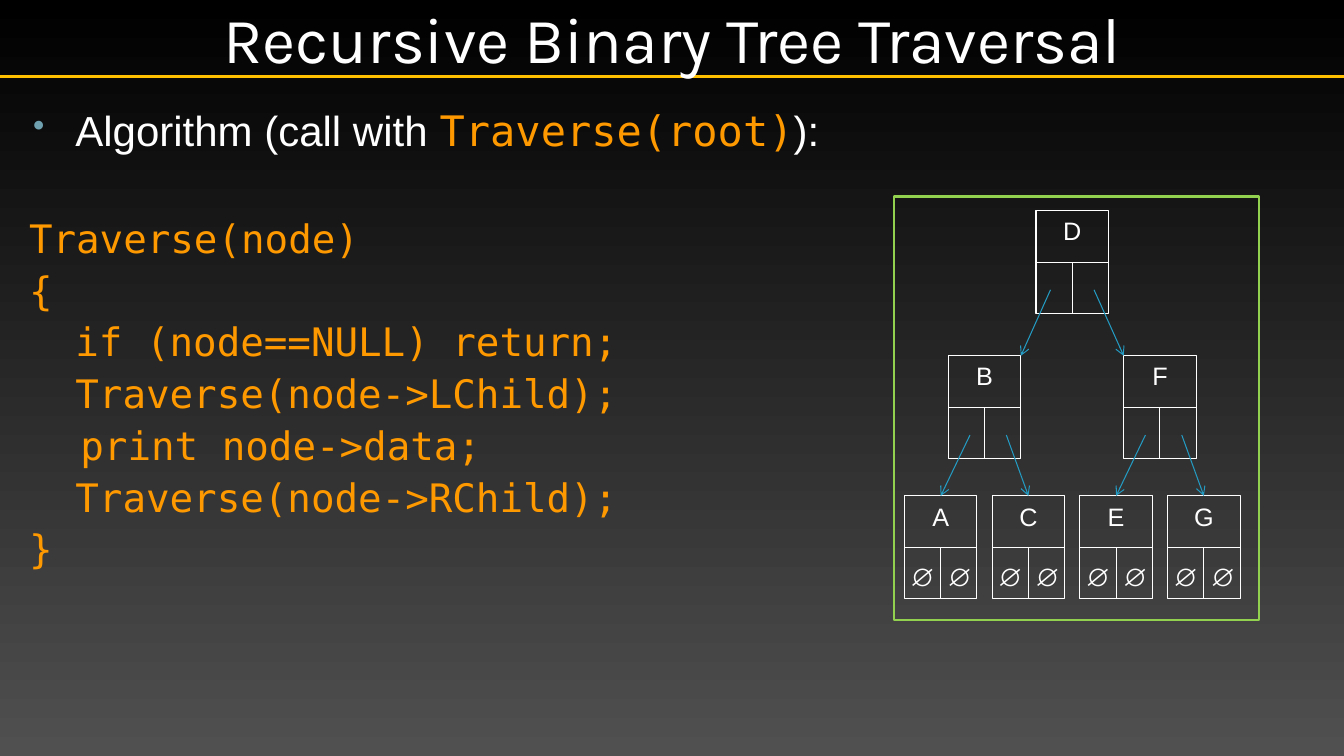
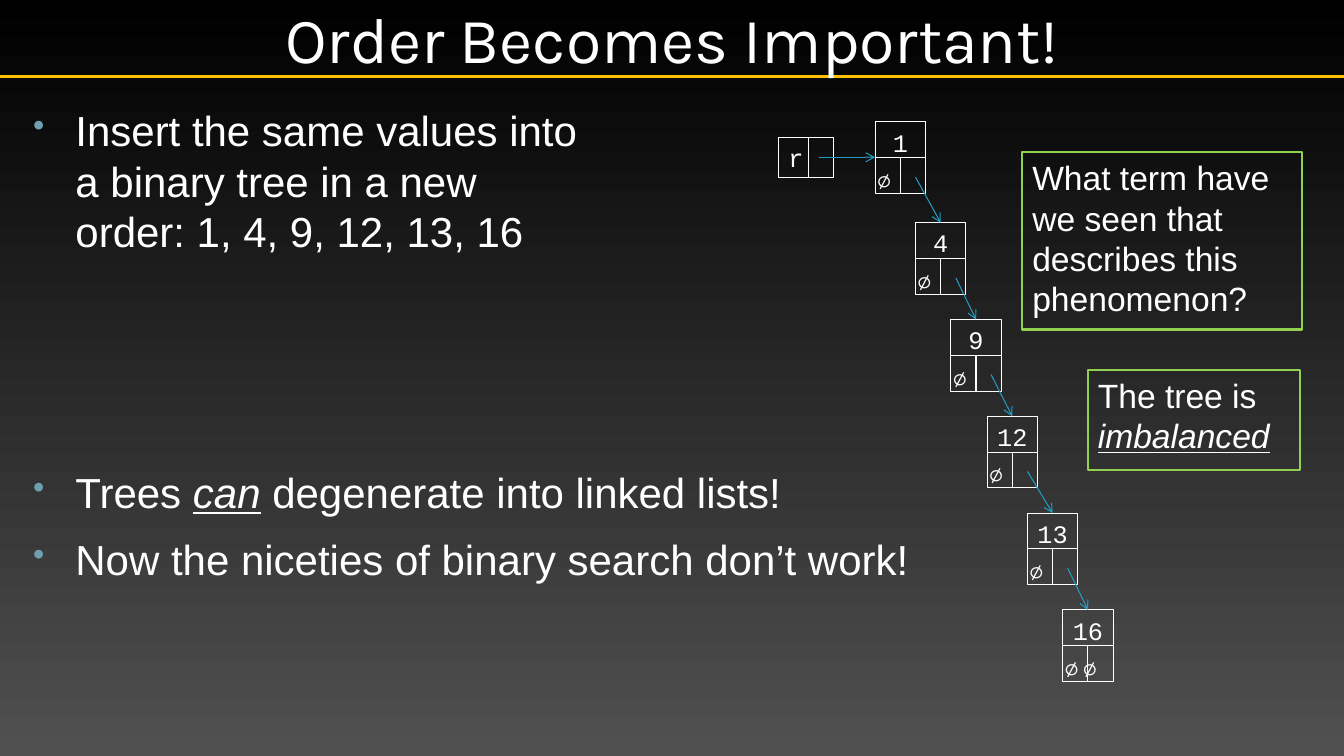
"""Build two slides about binary trees: traversal and insertion order."""
from dataclasses import dataclass
from typing import NamedTuple

from lxml import etree
from pptx import Presentation
from pptx.dml.color import RGBColor
from pptx.enum.shapes import MSO_CONNECTOR, MSO_SHAPE
from pptx.enum.text import MSO_ANCHOR, PP_ALIGN
from pptx.oxml.ns import qn
from pptx.util import Inches, Pt

STRAIGHT = MSO_CONNECTOR.STRAIGHT
RECTANGLE = MSO_SHAPE.RECTANGLE
LEFT, CENTER = PP_ALIGN.LEFT, PP_ALIGN.CENTER
TOP, MIDDLE = MSO_ANCHOR.TOP, MSO_ANCHOR.MIDDLE

WIDTH, HEIGHT = 13.33, 7.5
WHITE, ORANGE, GREEN, BLUE = "FFFFFF", "FF9900", "92D050", "239BC2"
GOLD, BULLET, BLACK, GRAY = "FFC000", "6EA0B0", "000000", "505050"
SANS, CODE, COURIER, TITLE = "Arial", "DejaVu Sans Mono", "Courier New", "Karla"
HANG = 0.42
TEXT_INDENT = 0.46
INSETS = (0.1, 0.05, 0.1, 0.05)
POINTER_HEIGHT = 0.77


class Box(NamedTuple):
    """A rectangle in inches."""
    left: float
    top: float
    width: float
    height: float


class Run(NamedTuple):
    """A stretch of text that differs from its paragraph."""
    text: str
    font: str = ""
    color: str = ""
    stressed: bool = False


@dataclass(frozen=True)
class Line:
    """One paragraph with its style."""
    runs: tuple[Run, ...]
    size: float
    font: str = SANS
    color: str = WHITE
    align: PP_ALIGN = LEFT
    before: float = 0
    spacing: float = 1
    indent: float = 0
    bullet: bool = False


@dataclass(frozen=True)
class NodeStyle:
    """Size and lettering of tree nodes, with the places of null marks."""
    width: float
    height: float
    font: str
    null_left: float
    null_pitch: float
    null_top: float


@dataclass(frozen=True)
class Node:
    """A tree node, its corner and its number of null marks."""
    key: str
    left: float
    top: float
    nulls: int = 0


class Link(NamedTuple):
    """A pointer between nodes; start and end are shares of node width."""
    parent: str
    start: float
    child: str
    end: float


WIDE_NODE = NodeStyle(0.72, 1.02, SANS, 0.18, 0.37, 0.8)
SMALL_NODE = NodeStyle(0.5, 0.71, COURIER, 0.09, 0.18, 0.55)


def rgb(color: str) -> RGBColor:
    """Turn a hex string into a colour."""
    return RGBColor.from_string(color)


def write(shape, lines: list[Line], insets=INSETS, anchor=TOP) -> None:
    """Fill a shape with styled paragraphs."""
    frame = shape.text_frame
    frame.word_wrap = True
    frame.vertical_anchor = anchor
    (frame.margin_left, frame.margin_top,
     frame.margin_right, frame.margin_bottom) = map(Inches, insets)
    for index, line in enumerate(lines):
        paragraph = frame.add_paragraph() if index else frame.paragraphs[0]
        paragraph.alignment = line.align
        paragraph.space_before = Pt(line.before)
        paragraph.line_spacing = line.spacing
        properties = paragraph._p.get_or_add_pPr()
        properties.set("marL", str(Inches(line.indent)))
        properties.set("indent", str(Inches(-HANG if line.bullet else 0)))
        if line.bullet:
            color = etree.SubElement(properties, qn("a:buClr"))
            etree.SubElement(color, qn("a:srgbClr"), val=BULLET)
            etree.SubElement(properties, qn("a:buSzPct"), val="80000")
            etree.SubElement(properties, qn("a:buChar"), char="•")
        paragraph.font.size = Pt(line.size)
        paragraph.font.name = line.font
        paragraph.font.color.rgb = rgb(line.color)
        for part in line.runs:
            run = paragraph.add_run()
            run.text = part.text
            if part.font:
                run.font.name = part.font
            if part.color:
                run.font.color.rgb = rgb(part.color)
            if part.stressed:
                run.font.italic = run.font.underline = True


def add_text(slide, box: Box, lines: list[Line], insets=INSETS, anchor=TOP) -> None:
    """Add a text box."""
    shape = slide.shapes.add_textbox(*map(Inches, box))
    write(shape, lines, insets, anchor)


def add_frame(slide, box: Box, color: str, weight: float):
    """Add an unfilled rectangle."""
    shape = slide.shapes.add_shape(RECTANGLE, *map(Inches, box))
    shape.shadow.inherit = False
    shape.fill.background()
    shape.line.color.rgb = rgb(color)
    shape.line.width = Pt(weight)
    return shape


def add_line(slide, start: tuple[float, float], end: tuple[float, float],
             color: str = WHITE, weight: float = 0.75, arrow: bool = False) -> None:
    """Add a straight line, with an arrowhead at its end if asked."""
    line = slide.shapes.add_connector(STRAIGHT, *map(Inches, (*start, *end)))
    line.line.color.rgb = rgb(color)
    line.line.width = Pt(weight)
    if arrow:
        etree.SubElement(line.line._get_or_add_ln(), qn("a:tailEnd"), type="arrow")
    etree.SubElement(line._element.spPr, qn("a:effectLst"))


def add_node(slide, node: Node, style: NodeStyle) -> None:
    """Draw a node: key above, two child slots below."""
    left, top = node.left, node.top
    middle, center = top + style.height / 2, left + style.width / 2
    shape = add_frame(slide, Box(left, top, style.width, style.height), WHITE, 0.75)
    write(shape, [Line((Run(node.key),), 18, style.font, align=CENTER)],
          (0, 0.05, 0, 0.05))
    add_line(slide, (left, middle), (left + style.width, middle))
    add_line(slide, (center, middle), (center, top + style.height))
    for index in range(node.nulls):
        mark = left + style.null_left + index * style.null_pitch
        add_text(slide, Box(mark - 0.15, top + style.null_top - 0.15, 0.3, 0.3),
                 [Line((Run("∅"),), 18, style.font, align=CENTER)],
                 (0, 0, 0, 0), MIDDLE)


def add_tree(slide, nodes: list[Node], links: list[Link], style: NodeStyle) -> None:
    """Draw nodes and the pointers between them."""
    places = {node.key: node for node in nodes}
    for node in nodes:
        add_node(slide, node, style)
    for link in links:
        parent, child = places[link.parent], places[link.child]
        add_line(slide,
                 (parent.left + link.start * style.width,
                  parent.top + POINTER_HEIGHT * style.height),
                 (child.left + link.end * style.width, child.top), BLUE, arrow=True)


def bullet(*runs: Run, before: float = 6) -> Line:
    """Make a bulleted body line."""
    return Line(runs, 30, before=before, indent=TEXT_INDENT, bullet=True)


def code(text: str, indent: float = 0, before: float = 6.7) -> Line:
    """Make a line of program code."""
    return Line((Run(text),), 28, CODE, ORANGE, before=before, spacing=0.9,
                indent=indent)


def add_callout(slide, box: Box, *runs: Run) -> None:
    """Add a green framed remark."""
    write(add_frame(slide, box, GREEN, 1.5), [Line(runs, 24, before=4.8)])


def add_slide(presentation, title: str):
    """Add a slide with the shared rule and title."""
    slide = presentation.slides.add_slide(presentation.slide_layouts[6])
    add_line(slide, (0, 0.76), (WIDTH, 0.76), GOLD, 2.5)
    add_text(slide, Box(WIDTH / 8, 0, WIDTH * 0.75, HEIGHT / 10),
             [Line((Run(title),), 46, TITLE, align=CENTER)], (0.05,) * 4, MIDDLE)
    return slide


def build_traversal(presentation) -> None:
    """Build the traversal slide."""
    slide = add_slide(presentation, "Recursive Binary Tree Traversal")
    add_text(slide, Box(0.19, 0.99, 11.36, 5.88), [
        bullet(Run("Algorithm (call with "), Run("Traverse(root)", CODE, ORANGE),
               Run("):")),
        code("Traverse(node)", before=46),
        code("{"),
        code("if (node==NULL) return;", TEXT_INDENT),
        code("Traverse(node->LChild);", TEXT_INDENT),
        code("print node->data;", 0.51),
        code("Traverse(node->RChild);", TEXT_INDENT),
        code("}"),
    ])
    levels = (("D", 3, 2, 2.09), ("BF", 1, 4, 3.53), ("ACEG", 0, 2, 4.92))
    nodes = [Node(key, 8.97 + 0.435 * (first + index * step), top,
                  2 if len(keys) == 4 else 0)
             for keys, first, step, top in levels for index, key in enumerate(keys)]
    links = [Link("D", 0.2, "B", 1), Link("D", 0.8, "F", 0)]
    for parent, left_child, right_child in ("BAC", "FEG"):
        links += [Link(parent, 0.3, left_child, 0.5),
                  Link(parent, 0.8, right_child, 0.5)]
    add_tree(slide, nodes, links, WIDE_NODE)
    add_frame(slide, Box(8.87, 1.95, 3.62, 4.2), GREEN, 1.5)


def build_order(presentation) -> None:
    """Build the insertion order slide."""
    slide = add_slide(presentation, "Order Becomes Important!")
    add_text(slide, Box(0.19, 0.99, 5.84, 2.82), [bullet(Run(
        "Insert the same values into a binary tree in a new order: "
        "1, 4, 9, 12, 13, 16"))])
    keys = ("1", "4", "9", "12", "13", "16")
    lefts = (8.68, 9.08, 9.43, 9.79, 10.19, 10.54)
    tops = (1.21, *(2.21 + 0.96 * row for row in range(5)))
    nodes = [Node(key, left, top, 2 if key == keys[-1] else 1)
             for key, left, top in zip(keys, lefts, tops)]
    links = [Link(parent, 0.8, child, 0.5) for parent, child in zip(keys, keys[1:])]
    add_tree(slide, nodes, links, SMALL_NODE)
    root = add_frame(slide, Box(7.72, 1.36, 0.55, 0.4), WHITE, 0.75)
    write(root, [Line((Run("r"),), 18, COURIER)], (0.1, 0.05, 0, 0.05))
    add_line(slide, (8.02, 1.36), (8.02, 1.76))
    add_line(slide, (8.12, 1.56), (8.68, 1.56), BLUE, arrow=True)
    add_text(slide, Box(0.19, 4.58, 9.03, 1.69), [
        bullet(Run("Trees "), Run("can", stressed=True),
               Run(" degenerate into linked lists!")),
        bullet(Run("Now the niceties of binary search don’t work!"), before=12),
    ])
    add_callout(slide, Box(10.14, 1.51, 2.77, 1.76),
                Run("What term have we seen that describes this phenomenon?"))
    add_callout(slide, Box(10.79, 3.67, 2.1, 0.99),
                Run("The tree is "), Run("imbalanced", stressed=True))


def main() -> None:
    """Build and save the presentation."""
    presentation = Presentation()
    presentation.slide_width, presentation.slide_height = Inches(WIDTH), Inches(HEIGHT)
    fill = presentation.slide_master.background.fill
    fill.gradient()
    fill.gradient_angle = 270
    for stop, color in zip(fill.gradient_stops, (BLACK, GRAY)):
        stop.color.rgb = rgb(color)
    build_traversal(presentation)
    build_order(presentation)
    presentation.save("out.pptx")


if __name__ == "__main__":
    main()
